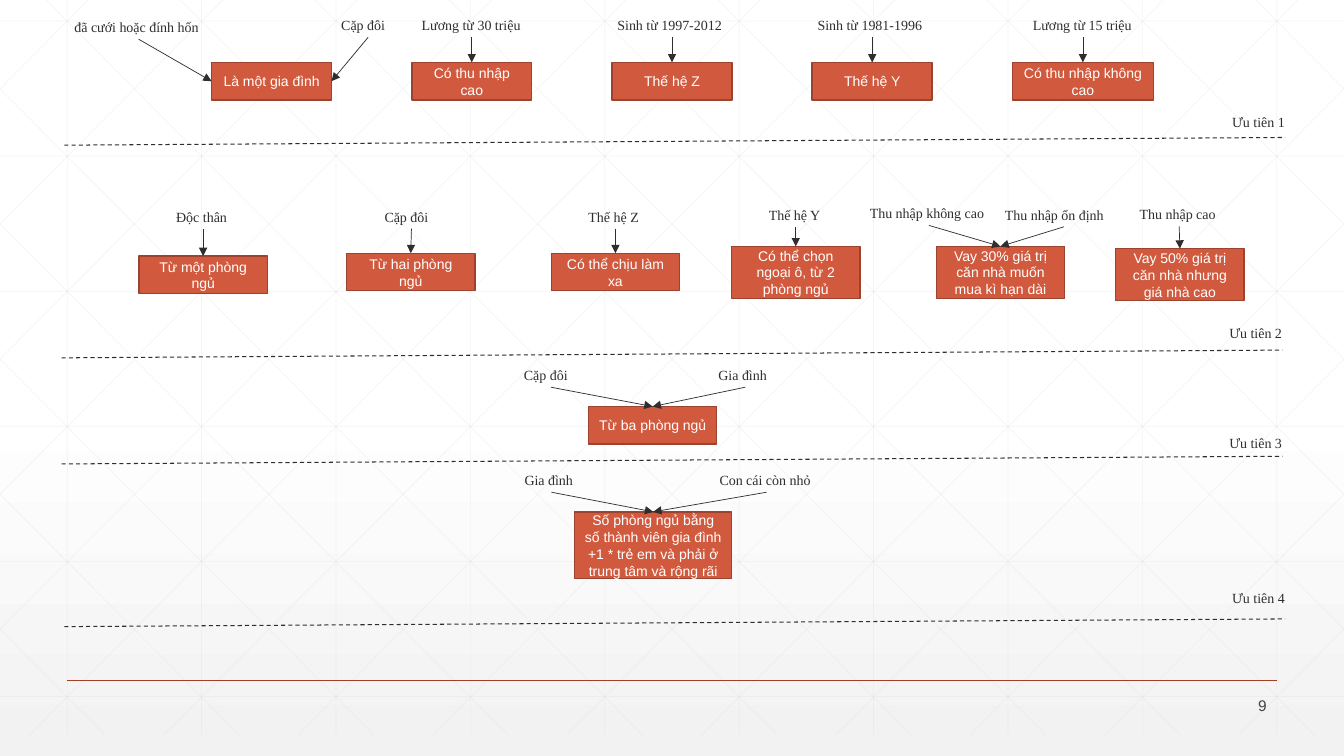
import pptx
import pptx.util
import pptx.dml.color
import pptx.enum.dml
import pptx.enum.shapes
import pptx.enum.text
import pptx.oxml
import pptx.oxml.ns
from lxml import etree

Pt = pptx.util.Pt
ALIGN = pptx.enum.text.PP_ALIGN
WIDTH, HEIGHT = 960, 540
INK, WHITE = "2D2E2D", "FFFFFF"
SANS, SERIF = "Arial", "Times New Roman"
LABEL_H = 20

PRIORITIES = [
    (46, 0, 872, 103.7, "Ưu tiên 1", 28.1, [
        (148, 44.6, 85.7, 26.8, "Là một gia đình", True,
         [("đã cưới hoặc đính hốn", -95, 16.6, 105.8), ("Cặp đôi", 69, 18, 52.6)]),
        (291, 44.6, 85.7, 26.8, "Có thu nhập cao", False, [("Lương từ 30 triệu", 0, 18, 85.7)]),
        (434, 44.6, 85.7, 26.8, "Thế hệ Z", False, [("Sinh từ 1997-2012", 0, 18, 92.2)]),
        (577, 44.6, 85.7, 26.8, "Thế hệ Y", False, [("Sinh từ 1981-1996", 0, 18, 92.2)]),
        (727.5, 44.6, 101, 26.8, "Có thu nhập không cao", False,
         [("Lương từ 15 triệu", 0, 18, 85.7)]),
    ]),
    (44, 104, 872, 151.6, "Ưu tiên 2", 28.8, [
        (101.1, 78.9, 91.6, 26.8, "Từ một phòng ngủ", False, [("Độc thân", 0, 19.4, 52.6)]),
        (249.4, 76.9, 91.6, 26.8, "Từ hai phòng ngủ", False, [("Cặp đôi", 0.5, 17.6, 52.6)]),
        (395.6, 76.9, 91.6, 26.8, "Có thể chịu làm xa", False, [("Thế hệ Z", 0, 17.6, 52.6)]),
        (524.4, 72, 91.6, 37.2, "Có thể chọn ngoại ô, từ 2 phòng ngủ", False,
         [("Thế hệ Y", 0, 14, 52.6)]),
        (670.6, 72, 91.6, 37.2, "Vay 30% giá trị căn nhà muốn mua kì hạn dài", False,
         [("Thu nhập không cao", -51.1, 15, 98.6), ("Thu nhập ổn định", 45.4, 14, 98.6)]),
        (798.8, 73.6, 91.6, 37.2, "Vay 50% giá trị căn nhà nhưng giá nhà cao", False,
         [("Thu nhập cao", -0.5, 15.8, 70.6)]),
    ]),
    (44, 256, 872, 75.4, "Ưu tiên 3", 26, [
        (422.2, 34.4, 91.6, 26.8, "Từ ba phòng ngủ", False,
         [("Cặp đôi", -72.7, 13.8, 52.6), ("Gia đình", 66.2, 13.8, 52.6)]),
    ]),
    (46, 332, 872, 115.6, "Ưu tiên 4", 31.5, [
        (420.6, 33.6, 112.3, 47.6, "Số phòng ngủ bằng số thành viên gia đình +1 * trẻ em "
         "và phải ở trung tâm và rộng rãi", False,
         [("Gia đình", -72.7, 14, 52.6), ("Con cái còn nhỏ", 81, 14, 81.4)]),
    ]),
]


def rgb(value):
    """Turn a hex string into a colour."""
    return pptx.dml.color.RGBColor.from_string(value)


def add_line(s, x1, y1, x2, y2, color, width, dash=False, arrow=False, alpha=None):
    """Draw a straight line with optional dash, arrowhead and opacity."""
    sp = s.shapes.add_connector(pptx.enum.shapes.MSO_CONNECTOR.STRAIGHT,
                                Pt(x1), Pt(y1), Pt(x2), Pt(y2))
    sp.line.color.rgb = rgb(color)
    sp.line.width = Pt(width)
    if dash:
        sp.line.dash_style = pptx.enum.dml.MSO_LINE.DASH
    qn = pptx.oxml.ns.qn
    ln = sp.line._get_or_add_ln()
    if arrow:
        etree.SubElement(ln, qn("a:tailEnd"), type="triangle")
    if alpha:
        etree.SubElement(ln.find(".//" + qn("a:srgbClr")), qn("a:alpha"), val=str(alpha * 1000))
    etree.SubElement(sp.element.spPr, qn("a:effectLst"))


def set_text(sp, text, size, font, color, align):
    """Put one styled paragraph into a shape and return it."""
    tf = sp.text_frame
    tf.word_wrap = True
    p = tf.paragraphs[0]
    p.text = text
    p.alignment = align
    p.font.size, p.font.name = Pt(size), font
    p.font.color.rgb = rgb(color)
    return p


def add_label(s, x, y, w, text):
    """Place a serif caption in its box."""
    sp = s.shapes.add_textbox(Pt(x), Pt(y), Pt(w), Pt(LABEL_H))
    p = set_text(sp, text, 10, SERIF, INK, ALIGN.LEFT)
    p.line_spacing = 1.15
    p.space_after = Pt(10)


def add_rule(s, cx, y, w, h, text, from_sides, conditions):
    """Draw a conclusion box and the conditions that point at it."""
    sp = s.shapes.add_shape(pptx.enum.shapes.MSO_SHAPE.RECTANGLE,
                            Pt(cx - w / 2), Pt(y), Pt(w), Pt(h))
    sp.shadow.inherit = False
    sp.fill.solid()
    sp.fill.fore_color.rgb = rgb("D15A3E")
    sp.line.color.rgb = rgb("9B432E")
    sp.line.width = Pt(1)
    sp.text_frame.vertical_anchor = pptx.enum.text.MSO_ANCHOR.MIDDLE
    set_text(sp, text, 10, SANS, WHITE, ALIGN.CENTER)
    for condition, dx, gap, label_w in conditions:
        x, bottom = cx + dx, y - gap
        add_label(s, x - label_w / 2, bottom - LABEL_H, label_w, condition)
        tip = (cx + (w / 2 if dx > 0 else -w / 2), y + h / 2) if from_sides else (cx, y)
        add_line(s, x, bottom, *tip, INK, 0.5, arrow=True)


def add_priority(s, x, y, w, h, title, title_rise, rules):
    """Draw one priority band: its rules, dashed divider and title."""
    for cx, top, *rest in rules:
        add_rule(s, x + cx, y + top, *rest)
    add_line(s, x, y + h, x + w, y + h - 5.5, INK, 0.75, dash=True)
    add_label(s, x + w - 45, y + h - title_rise, 54, title)


def add_backdrop(s, w, h):
    """Fill the background with a gradient and a faint lattice."""
    fill = s.background.fill
    fill.gradient()
    fill.gradient_angle = 270
    stops = s.element.find(".//" + pptx.oxml.ns.qn("a:gsLst"))
    for stop in list(stops):
        stops.remove(stop)
    for pos, color in ((0, WHITE), (53, WHITE), (100, "F2F2F2")):
        stop = etree.SubElement(stops, pptx.oxml.ns.qn("a:gs"), pos=str(pos * 1000))
        etree.SubElement(stop, pptx.oxml.ns.qn("a:srgbClr"), val=color)
    bottom, slope = h - 15, 540 / 537
    lattice = [(48 + 96 * i, 0, 48 + 96 * i, bottom) for i in range(10)]
    lattice += [(0, 15 + 96.5 * i, w, 15 + 96.5 * i) for i in range(6)]
    for k in range(-5, 10):
        start = 18 + 96 * k
        x1, x2 = max(0, start + 15 / slope), min(w, start + 537)
        y1, y2 = (slope * (x - start) - 15 for x in (x1, x2))
        lattice += [(x1, y1, x2, y2), (w - x1, y1, w - x2, y2)]
    for ends in lattice:
        add_line(s, *ends, "D9D9D9", 0.5, alpha=25)


def add_footer(s, x, y, w, number):
    """Draw the footer line and the page number."""
    add_line(s, x, y, x + w, y, "A43F27", 1)
    sp = s.shapes.add_textbox(Pt(x + w - 72), Pt(y + 9.4), Pt(72), Pt(17.3))
    sp.text_frame.vertical_anchor = pptx.enum.text.MSO_ANCHOR.MIDDLE
    set_text(sp, number, 11, SANS, "424342", ALIGN.RIGHT)


def main():
    """Build the slide and save it."""
    prs = pptx.Presentation()
    prs.slide_width, prs.slide_height = Pt(WIDTH), Pt(HEIGHT)
    s = prs.slides.add_slide(prs.slide_layouts[6])
    add_backdrop(s, WIDTH, HEIGHT)
    for priority in PRIORITIES:
        add_priority(s, *priority)
    add_footer(s, 48, 486, 864, "9")
    prs.save("out.pptx")


if __name__ == "__main__":
    main()
